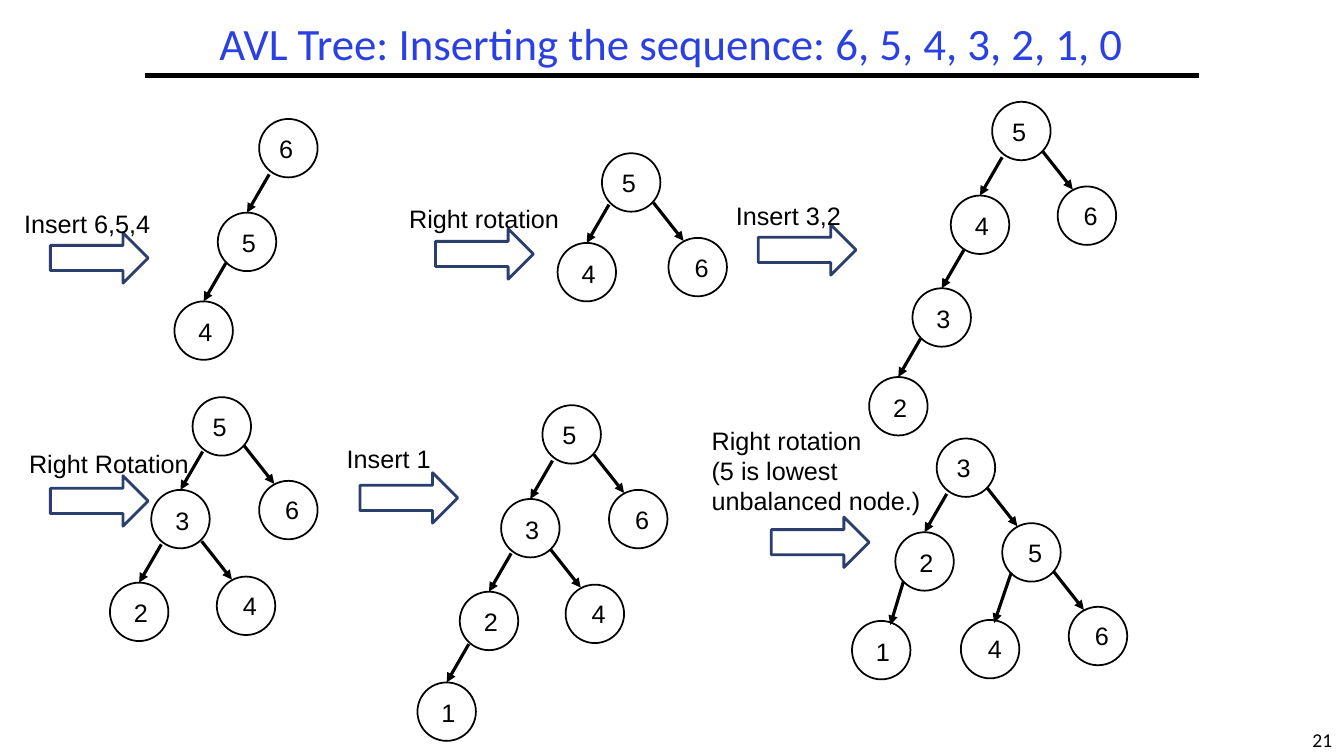
"""Build a slide that shows AVL rotations while inserting 6 to 0."""
from dataclasses import dataclass

from lxml.etree import SubElement
from pptx import Presentation
from pptx.dml.color import RGBColor
from pptx.enum.shapes import MSO_CONNECTOR, MSO_SHAPE
from pptx.enum.text import MSO_ANCHOR, PP_ALIGN
from pptx.oxml.ns import qn
from pptx.util import Inches, Pt

BLACK, WHITE, BLUE, NAVY = "000000", "FFFFFF", "2A40E2", "2B3F6F"
NODE_SIZE = 0.58
ARROW_SIZE = (0.97, 0.5)


@dataclass(frozen=True)
class Link:
    label: tuple[float, float]
    start: tuple[float, float] | None = None
    end: tuple[float, float] | None = None


ROOT = Link((0.10, 0.09))
LEFT = Link((0.14, 0.10), (0.51, -0.38), (0.29, 0))
RIGHT = Link((0.16, 0.09), (-0.15, -0.35), (0.15, 0.03))
STEEP_OUTER = Link((0.14, 0.10), (0.51, -0.39), (0.38, 0.04))
STEEP_INNER = Link((0.17, 0.08), (0.50, -0.47), (0.33, 0.03))


@dataclass(frozen=True)
class Node:
    key: int
    x: float
    y: float
    link: Link = ROOT


@dataclass(frozen=True)
class Step:
    caption: str
    box: tuple[float, float, float, float]
    arrow: tuple[float, float]
    nodes: list[Node]


STEPS = [
    Step("Insert 6,5,4", (0.14, 2.02, 1.59, 0.4), (0.5, 2.31), [
        Node(6, 2.57, 1.18),
        Node(5, 2.16, 2.11, LEFT),
        Node(4, 1.73, 2.99, LEFT),
    ]),
    Step("Right rotation", (3.96, 1.97, 1.7, 0.4), (4.32, 2.27), [
        Node(5, 5.97, 1.52),
        Node(4, 5.53, 2.41, LEFT),
        Node(6, 6.63, 2.36, RIGHT),
    ]),
    Step("Insert 3,2", (7.2, 1.94, 1.59, 0.4), (7.52, 2.23), [
        Node(5, 9.84, 1.01),
        Node(4, 9.43, 1.94, LEFT),
        Node(6, 10.49, 1.85, RIGHT),
        Node(3, 9.05, 2.86, LEFT),
        Node(2, 8.62, 3.74, LEFT),
    ]),
    Step("Right Rotation", (0.19, 4.4, 1.94, 0.4), (0.5, 4.72), [
        Node(5, 1.91, 3.94),
        Node(3, 1.5, 4.86, LEFT),
        Node(6, 2.57, 4.77, RIGHT),
        Node(2, 1.09, 5.78, LEFT),
        Node(4, 2.15, 5.72, RIGHT),
    ]),
    Step("Insert 1", (3.34, 4.35, 1.12, 0.4), (3.57, 4.69), [
        Node(5, 5.38, 4.02),
        Node(3, 4.97, 4.95, LEFT),
        Node(6, 6.04, 4.86, RIGHT),
        Node(2, 4.56, 5.87, LEFT),
        Node(4, 5.61, 5.8, RIGHT),
        Node(1, 4.14, 6.77, LEFT),
    ]),
    Step("Right rotation\n(5 is lowest unbalanced node.)",
         (6.96, 4.17, 2.53, 1.31), (7.65, 5.13), [
             Node(3, 9.29, 4.35),
             Node(2, 8.88, 5.28, LEFT),
             Node(5, 9.94, 5.19, RIGHT),
             Node(1, 8.45, 6.16, STEEP_OUTER),
             Node(4, 9.53, 6.15, STEEP_INNER),
             Node(6, 10.6, 6.02, RIGHT),
         ]),
]


def rgb(value: str) -> RGBColor:
    return RGBColor.from_string(value)


def add_text(s, text: str, box: tuple, *, size: float = 18, font: str = "Arial",
             color: str = BLACK, align=PP_ALIGN.LEFT, anchor=MSO_ANCHOR.TOP,
             wrap: bool = True, spacing: float = 1.0) -> None:
    tf = s.shapes.add_textbox(*map(Inches, box)).text_frame
    tf.word_wrap = wrap
    tf.vertical_anchor = anchor
    for i, line in enumerate(text.split("\n")):
        p = tf.add_paragraph() if i else tf.paragraphs[0]
        p.alignment = align
        p.line_spacing = spacing
        r = p.add_run()
        r.text = line
        r.font.size = Pt(size)
        r.font.name = font
        r.font.color.rgb = rgb(color)


def add_outline(s, kind: MSO_SHAPE, box: tuple, color: str, width: float) -> None:
    sp = s.shapes.add_shape(kind, *map(Inches, box))
    sp.shadow.inherit = False
    sp.fill.solid()
    sp.fill.fore_color.rgb = rgb(WHITE)
    sp.line.color.rgb = rgb(color)
    sp.line.width = Pt(width)


def add_line(s, start: tuple, end: tuple, width: float, arrow: bool = False) -> None:
    cxn = s.shapes.add_connector(MSO_CONNECTOR.STRAIGHT, *map(Inches, (*start, *end)))
    cxn.line.color.rgb = rgb(BLACK)
    cxn.line.width = Pt(width)
    if arrow:
        SubElement(cxn.line._get_or_add_ln(), qn("a:tailEnd"), type="triangle")
    SubElement(cxn._element.spPr, qn("a:effectLst"))


def add_node(s, node: Node) -> None:
    def at(offset: tuple[float, float]) -> tuple[float, float]:
        return node.x + offset[0], node.y + offset[1]

    add_outline(s, MSO_SHAPE.OVAL, (node.x, node.y, NODE_SIZE, NODE_SIZE), BLACK, 1.25)
    if node.link.start and node.link.end:
        add_line(s, at(node.link.start), at(node.link.end), 2.25, arrow=True)
    add_text(s, str(node.key), (*at(node.link.label), 0.34, 0.4), wrap=False)


def add_step(s, step: Step) -> None:
    for node in step.nodes:
        add_node(s, node)
    add_outline(s, MSO_SHAPE.RIGHT_ARROW, (*step.arrow, *ARROW_SIZE), NAVY, 2)
    add_text(s, step.caption, step.box)


def main() -> None:
    prs = Presentation()
    prs.slide_width, prs.slide_height = Inches(13.33), Inches(7.5)
    s = prs.slides.add_slide(prs.slide_layouts[6])
    add_text(s, "21", (12.9, 7.17, 0.43, 0.33), size=14, font="Calibri",
             align=PP_ALIGN.CENTER, wrap=False)
    add_line(s, (1.44, 0.75), (11.89, 0.75), 3)
    add_text(s, "AVL Tree: Inserting the sequence: 6, 5, 4, 3, 2, 1, 0",
             (1.44, 0.17, 10.44, 0.58), size=32, font="Calibri", color=BLUE,
             align=PP_ALIGN.CENTER, anchor=MSO_ANCHOR.MIDDLE, spacing=0.9)
    for step in STEPS:
        add_step(s, step)
    prs.save("out.pptx")


if __name__ == "__main__":
    main()
